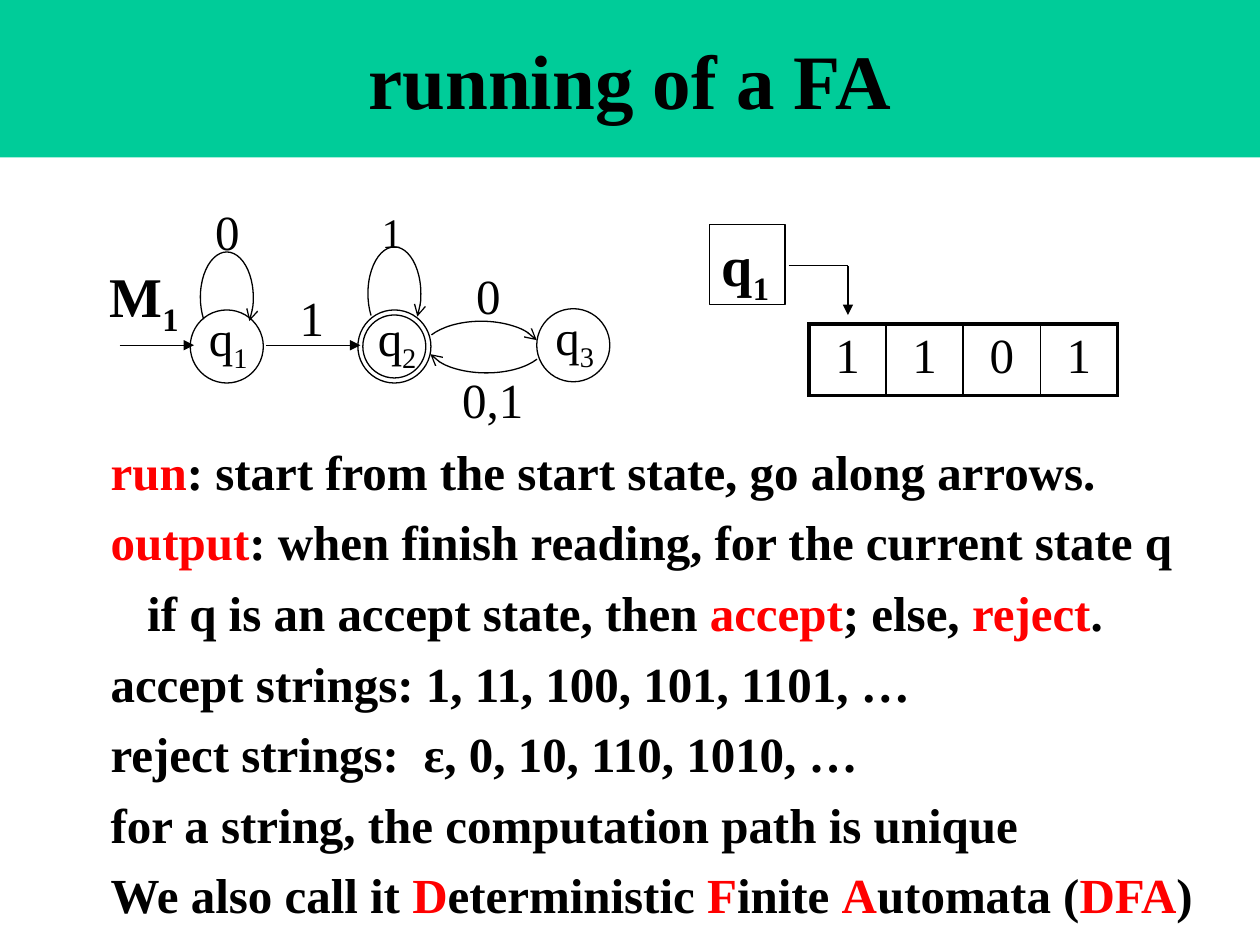
import math

import pptx
import pptx.dml.color
import pptx.enum.shapes
import pptx.enum.text
import pptx.oxml.ns
import pptx.util
from lxml import etree

Inches = pptx.util.Inches
Pt = pptx.util.Pt
RGB = pptx.dml.color.RGBColor.from_string
qn = pptx.oxml.ns.qn
SHAPE = pptx.enum.shapes.MSO_SHAPE
STRAIGHT = pptx.enum.shapes.MSO_CONNECTOR.STRAIGHT
ALIGN = pptx.enum.text.PP_ALIGN
ANCHOR = pptx.enum.text.MSO_ANCHOR
FIT = pptx.enum.text.MSO_AUTO_SIZE.SHAPE_TO_FIT_TEXT

COLORS = {"black": "000000", "red": "FF0000", "green": "00CC99"}


def write(paragraph, runs, size, bold=False):
    for text, style in runs:
        run = paragraph.add_run()
        run.text = text
        run.font.name = "Times New Roman"
        run.font.size = Pt(size)
        run.font.bold = bold
        run.font.color.rgb = RGB(COLORS["red" if style == "red" else "black"])
        if style == "sub":
            run._r.get_or_add_rPr().set("baseline", "-25000")


def ink(shape, arrowhead=None):
    shape.line.color.rgb = RGB(COLORS["black"])
    shape.line.width = Pt(0.75)
    properties = shape._element.spPr
    if arrowhead:
        etree.SubElement(properties.find(qn("a:ln")), qn("a:tailEnd"), type=arrowhead)
    etree.SubElement(properties, qn("a:effectLst"))


deck = pptx.Presentation()
deck.slide_width, deck.slide_height = Inches(10), Inches(7.5)
slide = deck.slides.add_slide(deck.slide_layouts[5])

title = slide.shapes.title
title.left, title.top, title.width, title.height = 0, 0, Inches(10), Inches(1.25)
title.fill.solid()
title.fill.fore_color.rgb = RGB(COLORS["green"])
title.text_frame.vertical_anchor = ANCHOR.MIDDLE
heading = title.text_frame.paragraphs[0]
heading.alignment = ALIGN.CENTER
write(heading, [("running of a FA", None)], 44, True)

symbols = "1101"
tape_frame = slide.shapes.add_table(1, len(symbols), Inches(6.42), Inches(2.57), Inches(2.45), Inches(0.57))
tape = tape_frame.table
tape.first_row = tape.horz_banding = False
for column, symbol in enumerate(symbols):
    cell = tape.cell(0, column)
    cell.fill.background()
    symbol_line = cell.text_frame.paragraphs[0]
    symbol_line.alignment = ALIGN.CENTER
    write(symbol_line, [(symbol, None)], 28)
    borders = {
        "a:lnL": 2.25 if column == 0 else 1,
        "a:lnR": 2.25 if column == len(symbols) - 1 else 1,
        "a:lnT": 2.25,
        "a:lnB": 2.25,
    }
    for position, (side, width) in enumerate(borders.items()):
        border = etree.Element(qn(side), w=str(Pt(width)))
        border_fill = etree.SubElement(border, qn("a:solidFill"))
        etree.SubElement(border_fill, qn("a:srgbClr"), val=COLORS["black"])
        cell._tc.get_or_add_tcPr().insert(position, border)

current_state = slide.shapes.add_shape(SHAPE.RECTANGLE, Inches(5.63), Inches(1.78), Inches(0.6), Inches(0.64))
current_state.fill.background()
ink(current_state)
current_state.text_frame.word_wrap = False
current_state.text_frame.auto_size = FIT
current_state.text_frame.vertical_anchor = ANCHOR.TOP
current_state.text_frame.paragraphs[0].alignment = ALIGN.LEFT
write(current_state.text_frame.paragraphs[0], [("q", None), ("1", "sub")], 32, True)

diagram = slide.shapes.add_group_shape()

circles = [
    (1.51, 2.46, 0.58),
    (2.84, 2.46, 0.58),
    (2.88, 2.5, 0.5),
    (4.26, 2.45, 0.58),
]
for left, top, diameter in circles:
    circle = diagram.shapes.add_shape(SHAPE.OVAL, Inches(left), Inches(top), Inches(diameter), Inches(diameter))
    circle.fill.background()
    ink(circle)

straight_arrows = [
    (slide, 6.26, 2.11, 6.73, 2.11, None),
    (slide, 6.73, 2.11, 6.73, 2.5, "triangle"),
    (diagram, 0.95, 2.74, 1.54, 2.74, "triangle"),
    (diagram, 2.11, 2.74, 2.86, 2.74, "triangle"),
]
for owner, x1, y1, x2, y2, arrowhead in straight_arrows:
    ink(owner.shapes.add_connector(STRAIGHT, Inches(x1), Inches(y1), Inches(x2), Inches(y2)), arrowhead)

# Center, radii, then start and end offsets from the center
curved_arrows = [
    ((1.8, 2.36), (0.21, 0.36), (-0.18, 0.17), (0.18, 0.19)),
    ((3.13, 2.33), (0.21, 0.37), (-0.18, 0.17), (0.18, 0.18)),
    ((3.82, 2.8), (0.48, 0.25), (-0.39, -0.14), (0.44, -0.1)),
    ((3.86, 2.72), (0.48, 0.24), (0.4, 0.13), (-0.44, 0.09)),
]
for (x, y), (rx, ry), *ends in curved_arrows:
    arc = diagram.shapes.add_shape(SHAPE.ARC, Inches(x - rx), Inches(y - ry), Inches(2 * rx), Inches(2 * ry))
    for index, (dx, dy) in enumerate(ends):
        arc.adjustments[index] = math.degrees(math.atan2(dy, dx)) % 360 * 0.6
    arc.fill.background()
    ink(arc, "arrow")

labels = [
    (slide, 0.77, 2.03, 0.77, 0.63, "M", "1", 32, True),
    (diagram, 1.56, 2.39, 0.53, 0.57, "q", "1", 28, False),
    (diagram, 2.9, 2.39, 0.53, 0.57, "q", "2", 28, False),
    (diagram, 4.31, 2.38, 0.53, 0.57, "q", "3", 28, False),
    (diagram, 1.61, 1.55, 0.4, 0.57, "0", None, 28, False),
    (diagram, 3.68, 2.06, 0.4, 0.57, "0", None, 28, False),
    (diagram, 3.57, 2.88, 0.69, 0.57, "0,1", None, 28, False),
    (diagram, 2.28, 2.23, 0.4, 0.57, "1", None, 28, False),
    (diagram, 2.93, 1.59, 0.37, 0.5, "1", None, 24, False),
]
for owner, left, top, width, height, name, subscript, size, bold in labels:
    label = owner.shapes.add_textbox(Inches(left), Inches(top), Inches(width), Inches(height))
    label.text_frame.word_wrap = False
    label.text_frame.auto_size = FIT
    runs = [(name, None)] + ([(subscript, "sub")] if subscript else [])
    write(label.text_frame.paragraphs[0], runs, size, bold)

explanation = [
    (0, [("run", "red"), (": start from the start state, go along arrows.", None)]),
    (0, [("output", "red"), (": when finish reading, for the current state q", None)]),
    (0.29, [("if q is an accept state, then ", None), ("accept", "red"), ("; else, ", None),
            ("reject", "red"), (".", None)]),
    (0, [("accept strings: 1, 11, 100, 101, 1101, …", None)]),
    (0, [("reject strings:  ε, 0, 10, 110, 1010, …", None)]),
    (0, [("for a string, the computation path is unique", None)]),
    (0, [("We also call it ", None), ("D", "red"), ("eterministic ", None), ("F", "red"), ("inite ", None),
         ("A", "red"), ("utomata (", None), ("DFA", "red"), (")", None)]),
]
notes = slide.shapes.add_textbox(Inches(0.78), Inches(3.36), Inches(8.87), Inches(4.06)).text_frame
notes.word_wrap = False
notes.auto_size = FIT
for index, (indent, runs) in enumerate(explanation):
    paragraph = notes.add_paragraph() if index else notes.paragraphs[0]
    paragraph.line_spacing = 1.2
    if indent:
        paragraph._p.get_or_add_pPr().set("marL", str(Inches(indent)))
    write(paragraph, runs, 28, True)

deck.save("out.pptx")
